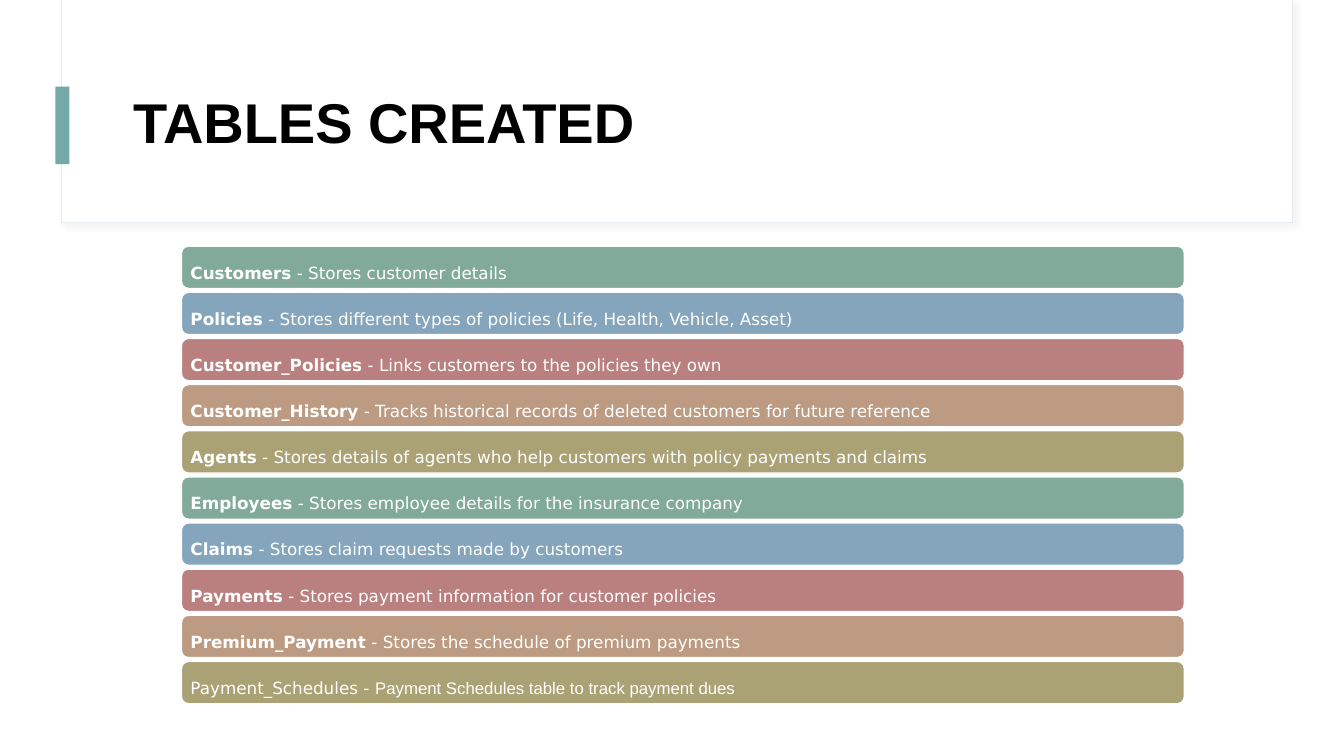
import dataclasses
import pptx
import pptx.dml.color
import pptx.enum.shapes
import pptx.enum.text
import pptx.oxml
import pptx.oxml.ns
import pptx.util

Pt = pptx.util.Pt
Kind = pptx.enum.shapes.MSO_SHAPE
Anchor = pptx.enum.text.MSO_ANCHOR
Align = pptx.enum.text.PP_ALIGN

COLORS = {
    "white": "FFFFFF", "black": "000000", "edge": "E5ECF0", "shade": "D9D9D9",
    "teal": "74A9AA", "green": "81AA9A", "blue": "85A5BD", "red": "BA807F",
    "tan": "BC9B82", "olive": "AAA274",
}
CYCLE = ["green", "blue", "red", "tan", "olive"]
SANS = "DejaVu Sans"
BAR_TOP, BAR_STEP = 175.8, 32.96


@dataclasses.dataclass
class Box:
    left: float
    top: float
    width: float
    height: float
    fill: str
    line: str = ""
    weight: float = 0
    kind: Kind = Kind.RECTANGLE


@dataclasses.dataclass
class Entry:
    name: str
    note: str
    bold: bool = True
    font: str = SANS


PANELS = [
    Box(43.92, 0, 879.12, 159.12, "white", "edge", 0.75),
    Box(44.64, 0, 878.4, 158.4, "white"),
    Box(39.6, 61.92, 10.08, 55.44, "teal"),
]
ENTRIES = [
    Entry("Customers", " - Stores customer details"),
    Entry("Policies", " - Stores different types of policies (Life, Health, Vehicle, Asset)"),
    Entry("Customer_Policies", " - Links customers to the policies they own"),
    Entry("Customer_History",
          " - Tracks historical records of deleted customers for future reference"),
    Entry("Agents",
          " - Stores details of agents who help customers with policy payments and claims"),
    Entry("Employees", " - Stores employee details for the insurance company"),
    Entry("Claims", " - Stores claim requests made by customers"),
    Entry("Payments", " - Stores payment information for customer policies"),
    Entry("Premium_Payment", " - Stores the schedule of premium payments"),
    Entry("Payment_Schedules - ", "Payment Schedules table to track payment dues",
          False, "Arial"),
]


def tint(name: str) -> pptx.dml.color.RGBColor:
    return pptx.dml.color.RGBColor.from_string(COLORS[name])


def style(run, font: str, size: float, color: str, bold: bool) -> None:
    run.font.name = font
    run.font.size = Pt(size)
    run.font.bold = bold
    run.font.color.rgb = tint(color)


def draw_box(slide, box: Box):
    shape = slide.shapes.add_shape(
        box.kind, Pt(box.left), Pt(box.top), Pt(box.width), Pt(box.height))
    shape.shadow.inherit = False
    shape.fill.solid()
    shape.fill.fore_color.rgb = tint(box.fill)
    if box.line:
        shape.line.color.rgb = tint(box.line)
        shape.line.width = Pt(box.weight)
    else:
        shape.line.fill.background()
    return shape


def add_shadow(shape) -> None:
    effects = shape.element.spPr.find(pptx.oxml.ns.qn("a:effectLst"))
    effects.append(pptx.oxml.parse_xml(
        f'<a:outerShdw {pptx.oxml.ns.nsdecls("a")} blurRad="{Pt(4)}" '
        f'dist="{Pt(3)}" dir="2700000" algn="tl" rotWithShape="0">'
        f'<a:srgbClr val="{COLORS["shade"]}"><a:alpha val="30000"/></a:srgbClr>'
        '</a:outerShdw>'))


def draw_entry(slide, entry: Entry, index: int) -> None:
    bar = draw_box(slide, Box(
        129.6, BAR_TOP + index * BAR_STEP, 716.4, 30.24,
        CYCLE[index % len(CYCLE)], "white", 1, Kind.ROUNDED_RECTANGLE))
    frame = bar.text_frame
    frame.word_wrap = True
    frame.vertical_anchor = Anchor.MIDDLE
    frame.margin_left = frame.margin_right = Pt(5)
    frame.margin_top = frame.margin_bottom = Pt(3.6)
    para = frame.paragraphs[0]
    para.alignment = Align.LEFT
    para.line_spacing = 1.5
    para.space_after = Pt(4.2)
    para.text = entry.name
    style(para.runs[0], SANS, 12, "white", entry.bold)
    note = para.add_run()
    note.text = entry.note
    style(note, entry.font, 12, "white", False)


def draw_title(slide, text: str) -> None:
    title = slide.shapes.title
    title.left, title.top = Pt(87.84), Pt(43.2)
    title.width, title.height = Pt(800.64), Pt(92.88)
    frame = title.text_frame
    frame.text = text
    frame.word_wrap = True
    frame.vertical_anchor = Anchor.MIDDLE
    para = frame.paragraphs[0]
    para.alignment = Align.LEFT
    para.line_spacing = 0.9
    style(para.runs[0], "Arial", 40, "black", True)
    title.element.getparent().append(title.element)


def main() -> None:
    deck = pptx.Presentation()
    deck.slide_width, deck.slide_height = Pt(960), Pt(540)
    slide = deck.slides.add_slide(deck.slide_layouts[5])
    panels = [draw_box(slide, panel) for panel in PANELS]
    add_shadow(panels[0])
    draw_title(slide, "TABLES CREATED")
    for index, entry in enumerate(ENTRIES):
        draw_entry(slide, entry, index)
    deck.save("out.pptx")


if __name__ == "__main__":
    main()
